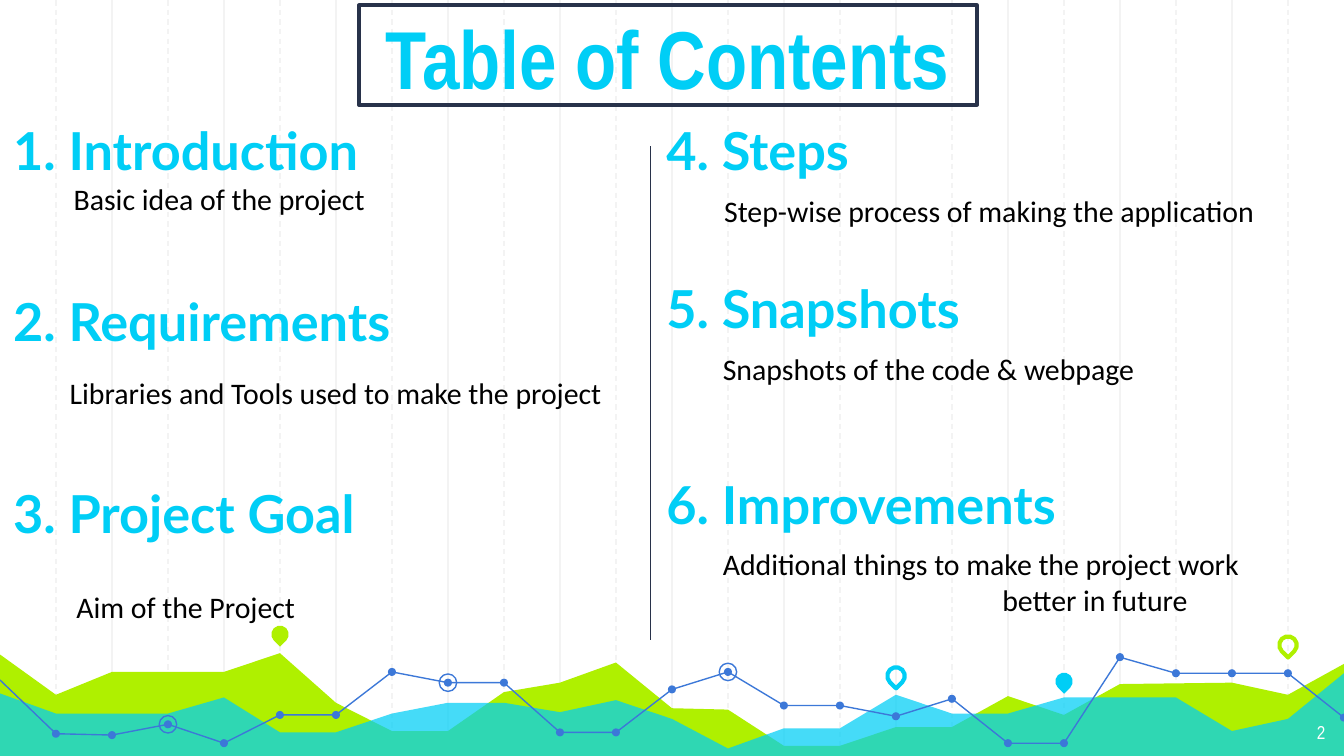
from lxml import etree
from pptx import Presentation
from pptx.dml.color import RGBColor
from pptx.enum.dml import MSO_LINE
from pptx.enum.shapes import MSO_CONNECTOR, MSO_SHAPE
from pptx.enum.text import MSO_ANCHOR, PP_ALIGN
from pptx.oxml.ns import qn
from pptx.util import Inches, Pt

COLORS = {"cyan": "00CEF6", "lime": "AFF000", "blue": "3C78D8", "navy": "28324A",
          "grid": "F3F3F3", "black": "000000", "white": "FFFFFF"}
STEPS = 24

LIME_AREA = [(0, 0.27), (1, 0.57), (2, 0.4), (4, 0.4), (5, 0.26), (6, 0.63), (7, 0.84),
             (8, 0.84), (9, 0.55), (10, 0.48), (11, 0.33), (12, 0.67), (13, 0.68),
             (14, 0.95), (15, 0.95), (16, 0.81), (17, 0.81), (18, 0.58), (19, 0.72),
             (20, 0.49), (22, 0.48), (23, 0.57), (24, 0.34)]
CYAN_AREA = [(0, 0.56), (1, 0.71), (3, 0.71), (4, 0.59), (5, 0.85), (6, 0.85), (7, 0.71),
             (8, 0.63), (9, 0.63), (10, 0.7), (11, 0.61), (12, 0.75), (13, 0.97),
             (14, 0.82), (15, 0.82), (16, 0.57), (17, 0.71), (18, 0.71), (19, 0.59),
             (21, 0.59), (22, 0.84), (23, 0.75), (24, 0.41)]
TREND = [0.46, 0.86, 0.87, 0.79, 0.93, 0.72, 0.72, 0.4, 0.48, 0.48, 0.85, 0.85, 0.53,
         0.4, 0.65, 0.65, 0.73, 0.6, 0.93, 0.93, 0.29, 0.41, 0.41, 0.41, 0.74]
TREND_PARTS = [(0, 11), (11, 20), (20, 24)]
RINGED = [8, 3, 13]
PINS = [(5, 0.12, "lime", True), (16, 0.43, "cyan", False),
        (19, 0.47, "cyan", True), (23, 0.2, "lime", False)]

LEFT_ITEMS = [
    ("1. Introduction", 0, "Basic idea of the project", 0, 0.45),
    ("2. Requirements", 39, "Libraries and Tools used to make the project", 12, 0.42),
    ("3. Project Goal", 38, "Aim of the Project", 24, 0.47)]
RIGHT_ITEMS = [
    ("4. Steps", 0, "Step-wise process of making the application", 6, 0.43),
    ("5. Snapshots", 26, "Snapshots of the code & webpage", 6, 0.42),
    ("6. Improvements", 46,
     "Additional things to make the project work\vbetter in future", 6, 0.42)]
WRAP_INDENT = 2.5


def rgb(name):
    """Return the named colour."""
    return RGBColor.from_string(COLORS[name])


def style(sp, fill=None, line=None, width=0.75):
    """Set fill and line of a shape and drop its shadow."""
    sp.shadow.inherit = False
    if fill:
        sp.fill.solid()
        sp.fill.fore_color.rgb = rgb(fill)
    else:
        sp.fill.background()
    if line:
        sp.line.color.rgb = rgb(line)
        sp.line.width = Pt(width)
    else:
        sp.line.fill.background()


def add_centered(s, kind, cx, cy, size, **look):
    """Add a square preset shape around a centre point."""
    sp = s.shapes.add_shape(kind, Inches(cx - size / 2), Inches(cy - size / 2),
                            Inches(size), Inches(size))
    style(sp, **look)
    return sp


def add_path(s, points, closed, **look):
    """Add a freeform through points given in inches."""
    start, *rest = [(Inches(px), Inches(py)) for px, py in points]
    builder = s.shapes.build_freeform(*start)
    builder.add_line_segments(rest, close=closed)
    sp = builder.convert_to_shape()
    style(sp, **look)
    return sp


def add_text_box(s, x, y, w, h, anchor=MSO_ANCHOR.TOP):
    """Add a wrapping text box with even insets and return its frame."""
    tf = s.shapes.add_textbox(Inches(x), Inches(y), Inches(w), Inches(h)).text_frame
    tf.word_wrap = True
    tf.vertical_anchor = anchor
    tf.margin_left = tf.margin_right = tf.margin_top = tf.margin_bottom = Inches(0.1)
    return tf


def write(p, text, font, size, color, bold=False, align=PP_ALIGN.LEFT, before=0):
    """Fill a paragraph and format its runs."""
    p.text = text
    p.alignment = align
    p.space_before = Pt(before)
    for r in p.runs:
        r.font.name = font
        r.font.size = Pt(size)
        r.font.bold = bold
        r.font.color.rgb = rgb(color)


def add_grid(s, x, y, w, h):
    """Draw alternating dashed and solid vertical guides."""
    for i in range(1, STEPS):
        gx = Inches(x + i * w / STEPS)
        line = s.shapes.add_connector(MSO_CONNECTOR.STRAIGHT, gx, Inches(y), gx, Inches(y + h))
        line.line.color.rgb = rgb("grid")
        line.line.width = Pt(0.75)
        if i % 2:
            line.line.dash_style = MSO_LINE.DASH
        etree.SubElement(line._element.spPr, qn("a:effectLst"))


def add_chart_band(s, x, y, w, h):
    """Draw the decorative areas, trend line, dots and pins."""
    def at(i, dy):
        return x + i * w / STEPS, y + dy

    corners = [(STEPS, h), (0, h)]
    add_path(s, [at(*pt) for pt in LIME_AREA + corners], True, fill="lime")
    area = add_path(s, [at(*pt) for pt in CYAN_AREA + corners], True, fill="cyan")
    color = area._element.spPr.find(qn("a:solidFill"))[0]
    etree.SubElement(color, qn("a:alpha")).set("val", "73000")

    trend = [at(i, dy) for i, dy in enumerate(TREND)]
    for first, last in TREND_PARTS:
        add_path(s, trend[first:last + 1], False, line="blue")
    for cx, cy in trend[1:]:
        add_centered(s, MSO_SHAPE.OVAL, cx, cy, 0.06, fill="blue")
    for i in RINGED:
        add_centered(s, MSO_SHAPE.OVAL, *trend[i], 0.13, line="blue")
    for i, dy, name, filled in PINS:
        look = {"fill": name} if filled else {"line": name, "width": 2.25}
        pin = add_centered(s, MSO_SHAPE.TEAR, *at(i, dy), 0.13, **look)
        pin.rotation = 135


def add_title(s, x, y, w, h):
    """Add the framed slide title."""
    tf = add_text_box(s, x, y + 0.07, w, h + 0.04, MSO_ANCHOR.BOTTOM)
    write(tf.paragraphs[0], "Table of Contents", "Arial Narrow", 44, "cyan", True,
          PP_ALIGN.CENTER)
    frame = s.shapes.add_shape(MSO_SHAPE.RECTANGLE, Inches(x), Inches(y), Inches(w), Inches(h))
    style(frame, line="navy", width=2)


def add_contents_column(s, x, y, w, h, items):
    """List numbered headings, each with an indented description."""
    tf = add_text_box(s, x, y, w, h)
    for n, (heading, gap, description, sub_gap, indent) in enumerate(items):
        p = tf.add_paragraph() if n else tf.paragraphs[0]
        write(p, heading, "Lato", 28, "cyan", True, before=gap)
        p = tf.add_paragraph()
        write(p, description, "Calibri", 16, "black", before=sub_gap)
        margin = WRAP_INDENT if "\v" in description else indent
        pPr = p._p.get_or_add_pPr()
        pPr.set("marL", str(Inches(margin)))
        pPr.set("indent", str(Inches(indent - margin)))


def add_divider(s, x, y, w, h):
    """Add the bar between the columns."""
    bar = s.shapes.add_shape(MSO_SHAPE.RECTANGLE, Inches(x), Inches(y), Inches(w), Inches(h))
    style(bar, fill="navy", line="white", width=2)


def add_page_number(s, x, y, w, h):
    """Add the page number."""
    tf = add_text_box(s, x, y, w, h)
    write(tf.paragraphs[0], "2", "Arial Narrow", 10, "white", align=PP_ALIGN.RIGHT)


def main():
    """Build and save the slide."""
    prs = Presentation()
    prs.slide_width, prs.slide_height = Inches(10), Pt(405)
    s = prs.slides.add_slide(prs.slide_layouts[6])
    add_grid(s, 0, 0, 10, 5.65)
    add_chart_band(s, 0, 4.6, 10, 1.05)
    add_title(s, 2.67, 0.04, 4.6, 0.74)
    add_contents_column(s, 0, 0.78, 4.86, 3.78, LEFT_ITEMS)
    add_contents_column(s, 4.86, 0.78, 5.21, 4.06, RIGHT_ITEMS)
    add_page_number(s, 9.36, 5.28, 0.6, 0.35)
    add_divider(s, 4.82, 1.07, 0.04, 3.71)
    prs.save("out.pptx")


if __name__ == "__main__":
    main()
